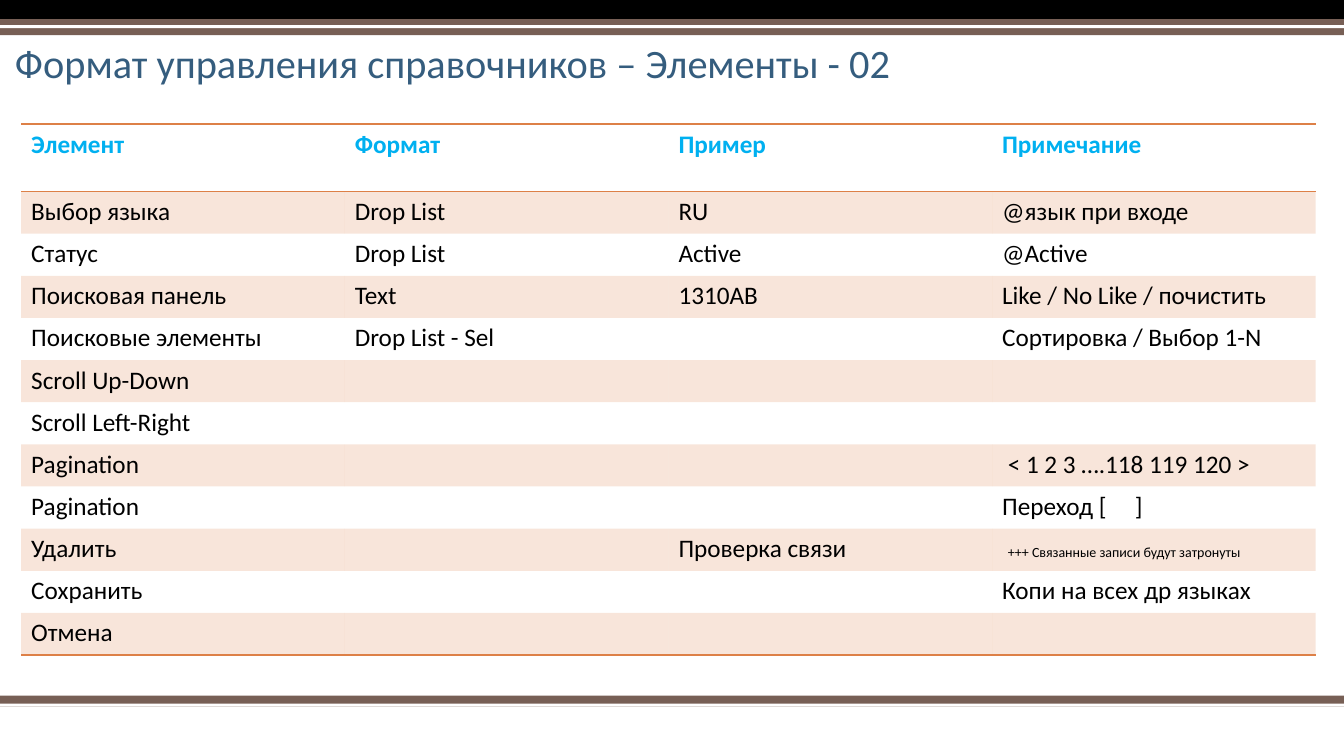
from lxml import etree
from pptx import Presentation
from pptx.dml.color import RGBColor
from pptx.enum.shapes import MSO_SHAPE
from pptx.enum.text import MSO_ANCHOR
from pptx.oxml.ns import qn
from pptx.util import Inches, Pt

RECT = MSO_SHAPE.RECTANGLE
BOTTOM = MSO_ANCHOR.BOTTOM
FONT = "Calibri"
NO_GRID_STYLE = "{2D5ABB26-0587-4C30-8999-92F81FD0307C}"
BROWN, ORANGE, WHITE, BLACK = "775F55", "DD8047", "FFFFFF", "000000"
BLUE, CYAN = "355D7E", "00B0F0"

TITLE = "Формат управления справочников – Элементы - 02"
HEADER = ("Элемент", "Формат", "Пример", "Примечание")
ROWS = [
    ("Выбор языка", "Drop List", "RU", "@язык при входе"),
    ("Статус", "Drop List", "Active", "@Active"),
    ("Поисковая панель", "Text", "1310AB", "Like / No Like / почистить"),
    ("Поисковые элементы", "Drop List - Sel", "", "Сортировка / Выбор 1-N"),
    ("Scroll Up-Down", "", "", ""),
    ("Scroll Left-Right", "", "", ""),
    ("Pagination", "", "", " < 1 2 3 ….118 119 120 >"),
    ("Pagination", "", "", "Переход [     ]"),
    ("Удалить", "", "Проверка связи", " +++ Связанные записи будут затронуты"),
    ("Сохранить", "", "", "Копи на всех др языках"),
    ("Отмена", "", "", ""),
]
SMALL_MARK, SMALL_SIZE = "+++", 10
# top, height, colour
BANDS = [
    (6.9, 0.11, BROWN),
    (6.98, 0.03, WHITE),
    (0, 0.19, BLACK),
    (0.19, 0.16, BROWN),
    (0.25, 0.03, WHITE),
]
SLIDE_W, SLIDE_H = 13.33, 7.5
TABLE_X, TABLE_Y, TABLE_W, TABLE_H = 0.21, 1.23, 12.84, 5.27
HEADER_H = 0.67


def rgb(color):
    return RGBColor.from_string(color)


def add_run(p, text, size=18, color=BLACK, bold=False):
    r = p.add_run()
    r.text = text
    r.font.name = FONT
    r.font.size = Pt(size)
    r.font.bold = bold
    r.font.color.rgb = rgb(color)


def tint(cell, color, percent):
    """Fill a cell with a colour at the given opacity."""
    cell.fill.solid()
    cell.fill.fore_color.rgb = rgb(color)
    clr = cell._tc.tcPr.find(".//" + qn("a:srgbClr"))
    etree.SubElement(clr, qn("a:alpha"), val=str(percent * 1000))


def add_borders(cell, sides, color=ORANGE, width=1):
    tc_pr = cell._tc.get_or_add_tcPr()
    for i, side in enumerate(sides):
        ln = etree.Element(qn("a:ln" + side), w=str(Pt(width)))
        fill = etree.SubElement(ln, qn("a:solidFill"))
        etree.SubElement(fill, qn("a:srgbClr"), val=color)
        tc_pr.insert(i, ln)


def add_band(slide, top, height, color):
    sp = slide.shapes.add_shape(RECT, 0, Inches(top), Inches(SLIDE_W), Inches(height))
    sp.shadow.inherit = False
    sp.fill.solid()
    sp.fill.fore_color.rgb = rgb(color)
    sp.line.fill.background()


def add_title(slide):
    sp = slide.shapes.add_textbox(Inches(0.05), Inches(0.36), Inches(11.61), Inches(0.55))
    tf = sp.text_frame
    tf.word_wrap = True
    tf.vertical_anchor = BOTTOM
    p = tf.paragraphs[0]
    p.line_spacing = 0.9
    add_run(p, TITLE, size=28.8, color=BLUE)


def add_elements_table(slide):
    n_rows, n_cols = len(ROWS) + 1, len(HEADER)
    table = slide.shapes.add_table(n_rows, n_cols, Inches(TABLE_X), Inches(TABLE_Y),
                                   Inches(TABLE_W), Inches(TABLE_H)).table
    table._tbl.tblPr.find(qn("a:tableStyleId")).text = NO_GRID_STYLE
    for col in table.columns:
        col.width = Inches(TABLE_W / n_cols)
    for i, row in enumerate(table.rows):
        row.height = Inches((TABLE_H - HEADER_H) / len(ROWS) if i else HEADER_H)

    for i, texts in enumerate([HEADER] + ROWS):
        for j, text in enumerate(texts):
            cell = table.cell(i, j)
            p = cell.text_frame.paragraphs[0]
            lead, mark, small = text.partition(SMALL_MARK)
            if i == 0:
                add_run(p, text, color=CYAN, bold=True)
            elif lead:
                add_run(p, lead)
            if mark:
                add_run(p, mark + small, size=SMALL_SIZE)
            if i % 2:
                tint(cell, ORANGE, 20)
            else:
                cell.fill.background()
            if i == 0:
                add_borders(cell, "TB")
            elif i == n_rows - 1:
                add_borders(cell, "B")


def main():
    prs = Presentation()
    prs.slide_width, prs.slide_height = Inches(SLIDE_W), Inches(SLIDE_H)
    slide = prs.slides.add_slide(prs.slide_layouts[6])
    for band in BANDS:
        add_band(slide, *band)
    add_title(slide)
    add_elements_table(slide)
    prs.save("out.pptx")


if __name__ == "__main__":
    main()
